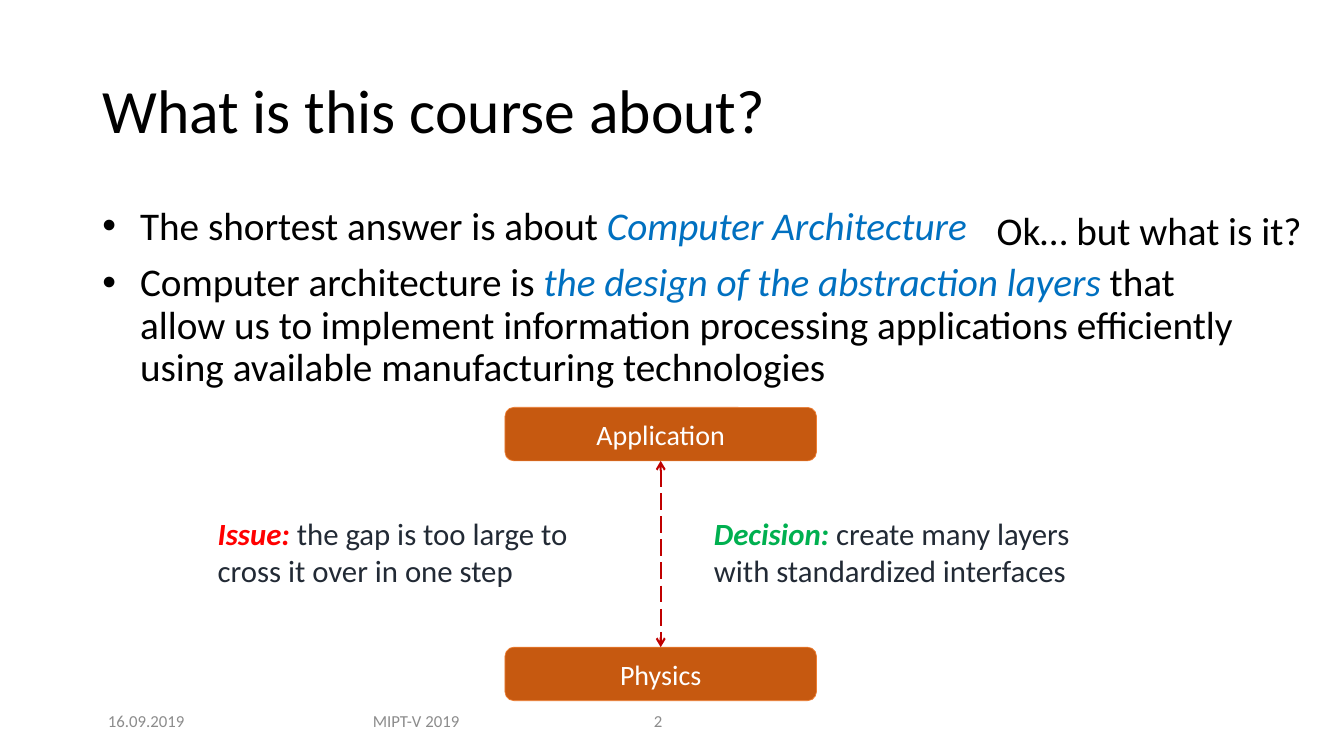
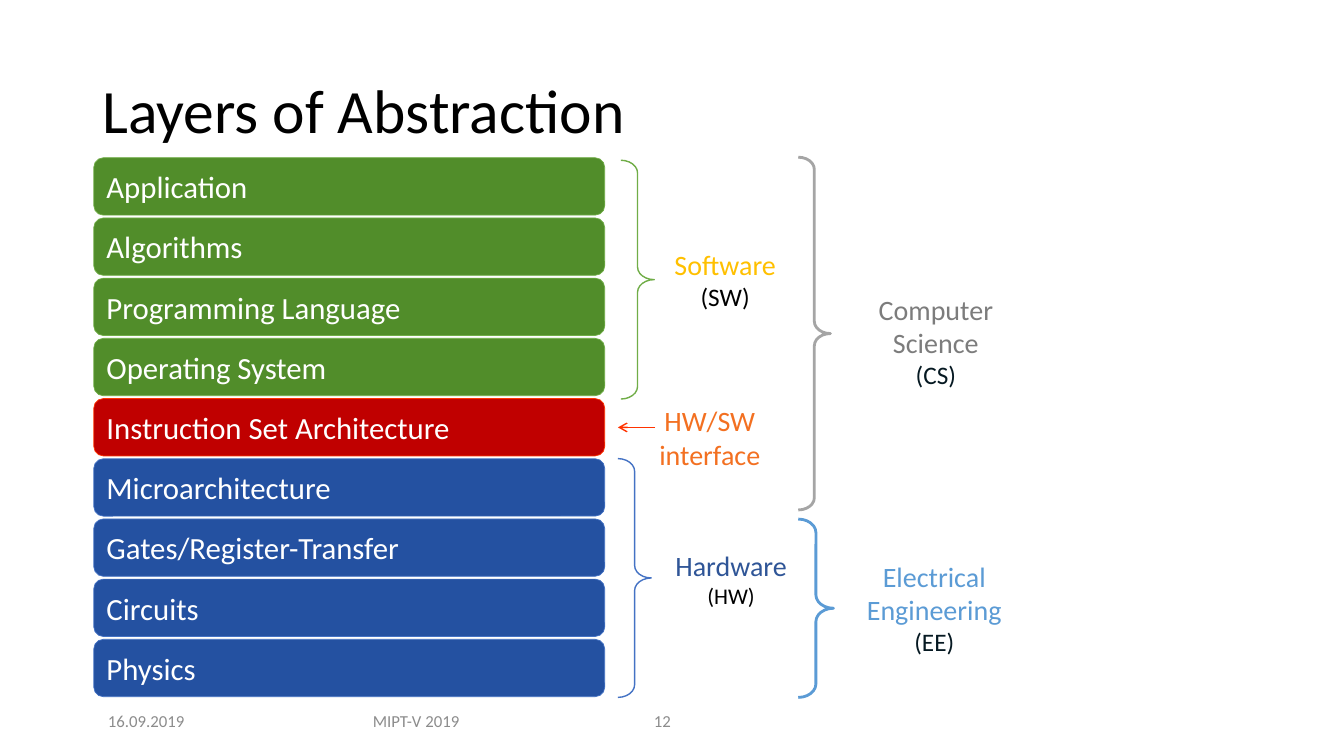
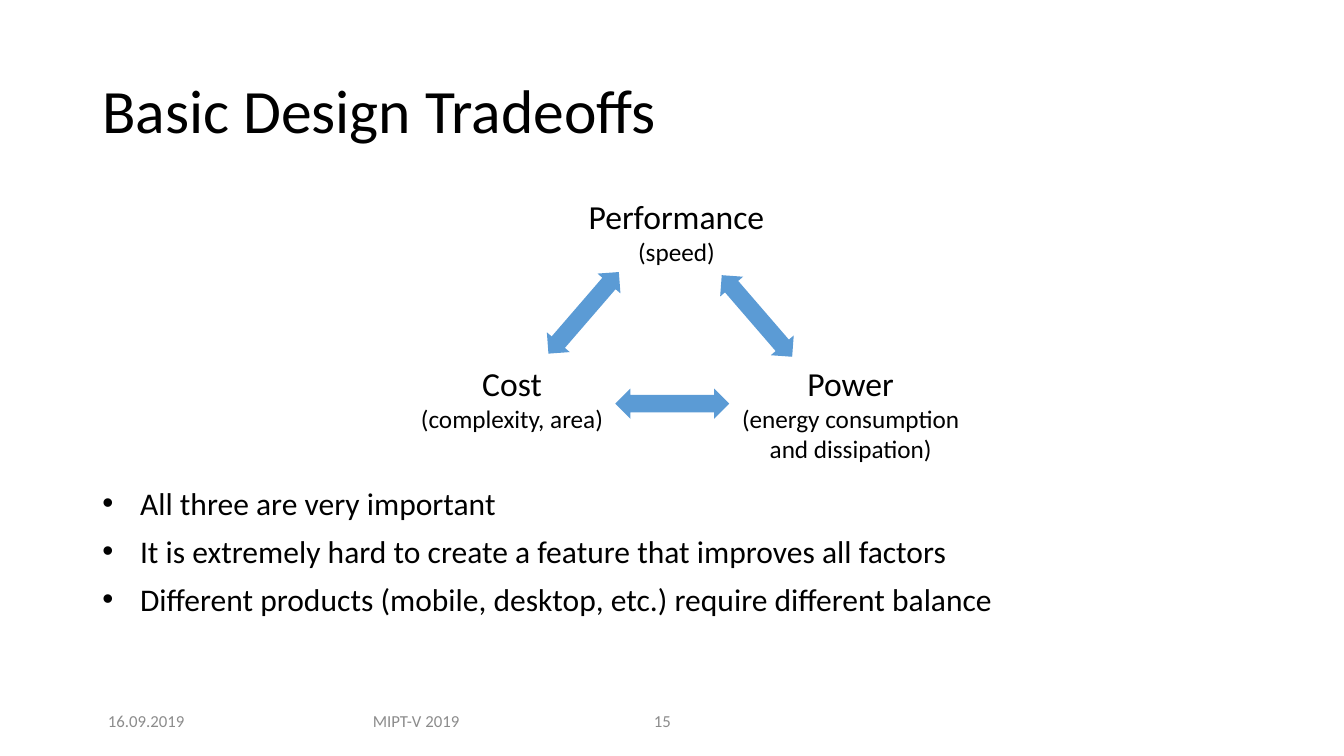
from lxml import etree
from pptx import Presentation
from pptx.dml.color import RGBColor
from pptx.enum.dml import MSO_LINE
from pptx.enum.shapes import MSO_CONNECTOR, MSO_SHAPE
from pptx.enum.text import MSO_ANCHOR, PP_ALIGN
from pptx.oxml.ns import qn
from pptx.util import Pt

ROUND, RECT = MSO_SHAPE.ROUNDED_RECTANGLE, MSO_SHAPE.RECTANGLE
BRACE, ARROW = MSO_SHAPE.RIGHT_BRACE, MSO_SHAPE.UP_DOWN_ARROW
STRAIGHT, DASH = MSO_CONNECTOR.STRAIGHT, MSO_LINE.LONG_DASH
TOP, MIDDLE = MSO_ANCHOR.TOP, MSO_ANCHOR.MIDDLE
LEFT, CENTER = PP_ALIGN.LEFT, PP_ALIGN.CENTER

FONT = "Calibri"
BLACK, WHITE = RGBColor(0, 0, 0), RGBColor(255, 255, 255)
GRAY = RGBColor(0x8C, 0x8C, 0x8C)
BLUE = RGBColor(0x00, 0x70, 0xC0)
SKY = RGBColor(0x5B, 0x9B, 0xD5)
NAVY = RGBColor(0x24, 0x51, 0xA1)
INDIGO = RGBColor(0x44, 0x72, 0xC4)
DEEP = RGBColor(0x2F, 0x55, 0x97)
FOREST = RGBColor(0x51, 0x8D, 0x2A)
LEAF = RGBColor(0x70, 0xAD, 0x47)
GREEN = RGBColor(0x00, 0xB0, 0x50)
RED = RGBColor(0xFF, 0, 0)
CRIMSON = RGBColor(0xC0, 0, 0)
SCARLET = RGBColor(0xFF, 0x33, 0)
RUST = RGBColor(0xC6, 0x59, 0x10)
ORANGE = RGBColor(0xED, 0x7D, 0x31)
CORAL = RGBColor(0xF3, 0x70, 0x21)
GOLD = RGBColor(0xFF, 0xC0, 0)
SILVER = RGBColor(0xA5, 0xA5, 0xA5)
STONE = RGBColor(0x7C, 0x7C, 0x7C)
SLATE = RGBColor(0x22, 0x2A, 0x35)
INK = RGBColor(0x06, 0x19, 0x22)

# Runs are (text, size, colour, style); style holds "b" and "i".
# Boxes are (left, top, width, height).
FOOTS = [("16.09.2019", (66, 500.4, 77, 28.8), CENTER),
         ("MIPT-V 2019", (240.5, 500.4, 113.5, 28.8), CENTER)]
NUMBER_BOX = (460, 500.4, 57, 28.8)
TITLE_BOX = (66, 28.8, 828, 104.4)

ABOUT = [
    [("The shortest answer is about ", 28, BLACK, ""),
     ("Computer Architecture", 28, BLUE, "i")],
    [("Computer architecture is ", 28, BLACK, ""),
     ("the design of the abstraction layers ", 28, BLUE, "i"),
     ("that allow us to implement information processing applications "
      "efficiently using available manufacturing technologies",
      28, BLACK, "")],
]
ENDS = [("Application", 291), ("Physics", 462.3)]
NOTES = [
    ("Issue: ", RED, "the gap is too large to cross it over in one step",
     (155.5, 368, 278, 62.5)),
    ("Decision: ", GREEN, "create many layers with standardized interfaces",
     (510, 368, 288, 62.5)),
]

LAYERS = [
    (FOREST, LEAF, ["Application", "Algorithms", "Programming Language",
                    "Operating System"]),
    (CRIMSON, SCARLET, ["Instruction Set Architecture"]),
    (NAVY, INDIGO, ["Microarchitecture", "Gates/Register-Transfer",
                    "Circuits", "Physics"]),
]
BRACES = [
    ((443.5, 114.5, 23.8, 170.6), LEAF, 1),
    ((441.4, 327.6, 23.8, 170.6), INDIGO, 1),
    ((570.2, 112.3, 23, 252), SILVER, 2),
    ((570.2, 370.8, 25.2, 127.4), SKY, 2),
]
GROUPS = [
    ((461.5, 173.5, 113, 53.3),
     [("Software", 20, GOLD), ("(SW)", 18, BLACK)]),
    ((465, 388, 114.5, 51), [("Hardware", 20, DEEP), ("(HW)", 16, BLACK)]),
    ((456.5, 285, 101, 55.4), [("HW/SW interface", 20, CORAL)]),
    ((612, 205.2, 113, 77.8),
     [("Computer Science", 20, STONE), ("(CS)", 18, INK)]),
    ((602.6, 396, 129.6, 77.8),
     [("Electrical Engineering", 20, SKY), ("(EE)", 18, INK)]),
]

FACTORS = [
    ("Performance", "(speed)", (409.7, 136.1, 147, 58.3)),
    ("Cost", "(complexity, area)", (277.2, 255.6, 177.1, 58.3)),
    ("Power", "(energy consumption and dissipation)",
     (519.1, 255.6, 177.1, 80)),
]
ARROWS = [((529.9, 187.2, 21.6, 77), 319.2),
          ((406.1, 185, 21.6, 77), 40.8),
          ((469.4, 247.7, 21.6, 81.4), 90)]
POINTS = [
    "All three are very important",
    "It is extremely hard to create a feature that improves all factors",
    "Different products (mobile, desktop, etc.) require different balance",
]


def fill_text(frame, paras, align=LEFT, anchor=TOP, wrap=True):
    frame.word_wrap, frame.vertical_anchor = wrap, anchor
    for n, runs in enumerate(paras):
        para = frame.add_paragraph() if n else frame.paragraphs[0]
        para.alignment = align
        for text, size, color, style in runs:
            run = para.add_run()
            run.text = text
            font = run.font
            font.name, font.size = FONT, Pt(size)
            font.color.rgb = color
            font.bold, font.italic = "b" in style, "i" in style


def add_text(slide, box, paras, align=LEFT, anchor=TOP):
    frame = slide.shapes.add_textbox(*map(Pt, box)).text_frame
    fill_text(frame, paras, align, anchor)
    return frame


def add_list(slide, box, paras):
    frame = add_text(slide, box, paras)
    for n, para in enumerate(frame.paragraphs):
        props = para._p.get_or_add_pPr()
        props.set("marL", str(Pt(27)))
        props.set("indent", str(Pt(-27)))
        etree.SubElement(props, qn("a:buFont")).set("typeface", "Arial")
        etree.SubElement(props, qn("a:buChar")).set("char", "•")
        para.line_spacing = 0.9
        if n:
            para.space_before = Pt(10)


def add_form(slide, kind, box, fill=None, line=None, width=0.5):
    shape = slide.shapes.add_shape(kind, *map(Pt, box))
    shape.shadow.inherit = False
    if fill is None:
        shape.fill.background()
    else:
        shape.fill.solid()
        shape.fill.fore_color.rgb = fill
    if line is None:
        shape.line.fill.background()
    else:
        shape.line.color.rgb = line
        shape.line.width = Pt(width)
    return shape


def add_line(slide, ends, color, width, tips):
    """Draw a straight line; tips names its arrowhead elements."""
    link = slide.shapes.add_connector(STRAIGHT, *map(Pt, ends))
    link.line.color.rgb, link.line.width = color, Pt(width)
    if len(tips) == 2:
        link.line.dash_style = DASH
    for tip in tips:
        etree.SubElement(link.line._ln, qn(tip)).set("type", "arrow")
    etree.SubElement(link._element.spPr, qn("a:effectLst"))
    return link


def add_slide(deck, title, number):
    slide = deck.slides.add_slide(deck.slide_layouts[6])
    frame = add_text(slide, TITLE_BOX, [[(title, 44, BLACK, "")]],
                     anchor=MIDDLE)
    frame.paragraphs[0].line_spacing = 0.9
    for text, box, align in FOOTS + [(number, NUMBER_BOX, LEFT)]:
        add_text(slide, box, [[(text, 12, GRAY, "")]], align, MIDDLE)
    return slide


def build_about(deck):
    slide = add_slide(deck, "What is this course about?", "2")
    add_list(slide, (66, 144, 828, 325.4), ABOUT)
    ask = add_form(slide, RECT, (704.9, 144, 234.7, 41), WHITE)
    fill_text(ask.text_frame, [[("Ok… but what is it?", 28, BLACK, "")]],
              wrap=False)
    left, wide, high = 360.7, 222.5, 38.2
    boxes = []
    for name, top in ENDS:
        box = add_form(slide, ROUND, (left, top, wide, high), RUST, ORANGE)
        fill_text(box.text_frame, [[(name, 20, WHITE, "")]], CENTER, MIDDLE)
        boxes.append(box)
    mid = left + wide / 2
    gap = add_line(slide, (mid, ENDS[0][1] + high, mid, ENDS[1][1]),
                   CRIMSON, 1.5, ["a:headEnd", "a:tailEnd"])
    gap.begin_connect(boxes[0], 2)
    gap.end_connect(boxes[1], 0)
    for lead, color, text, box in NOTES:
        frame = add_text(slide, box, [[(lead, 22, color, "bi"),
                                       (text, 22, SLATE, "")]])
        frame.margin_left = frame.margin_right = 0
        frame.margin_top = frame.margin_bottom = 0


def build_layers(deck):
    slide = add_slide(deck, "Layers of Abstraction", "12")
    top, pitch = 112.7, 43
    for fill, line, names in LAYERS:
        for name in names:
            bar = add_form(slide, ROUND, (67, top, 365, 41), fill, line)
            fill_text(bar.text_frame, [[(name, 22, WHITE, "")]],
                      anchor=MIDDLE)
            top += pitch
    for box, color, width in BRACES:
        brace = add_form(slide, BRACE, box, line=color, width=width)
        brace.adjustments[0], brace.adjustments[1] = 0.38, 0.5
    for box, lines in GROUPS:
        add_text(slide, box, [[(*line, "")] for line in lines], CENTER)
    add_line(slide, (468, 305.3, 441.4, 305.3), SCARLET, 1, ["a:tailEnd"])


def build_tradeoffs(deck):
    slide = add_slide(deck, "Basic Design Tradeoffs", "15")
    for name, detail, box in FACTORS:
        add_text(slide, box, [[(name, 24, BLACK, "")],
                              [(detail, 18, BLACK, "")]], CENTER)
    for box, angle in ARROWS:
        arrow = add_form(slide, ARROW, box, SKY)
        arrow.adjustments[0], arrow.adjustments[1] = 0.28, 0.58
        arrow.rotation = angle
    add_list(slide, (66, 344.9, 828, 118),
             [[(text, 22.5, BLACK, "")] for text in POINTS])


def main():
    deck = Presentation()
    deck.slide_width, deck.slide_height = Pt(960), Pt(540)
    build_about(deck)
    build_layers(deck)
    build_tradeoffs(deck)
    deck.save("out.pptx")


if __name__ == "__main__":
    main()
